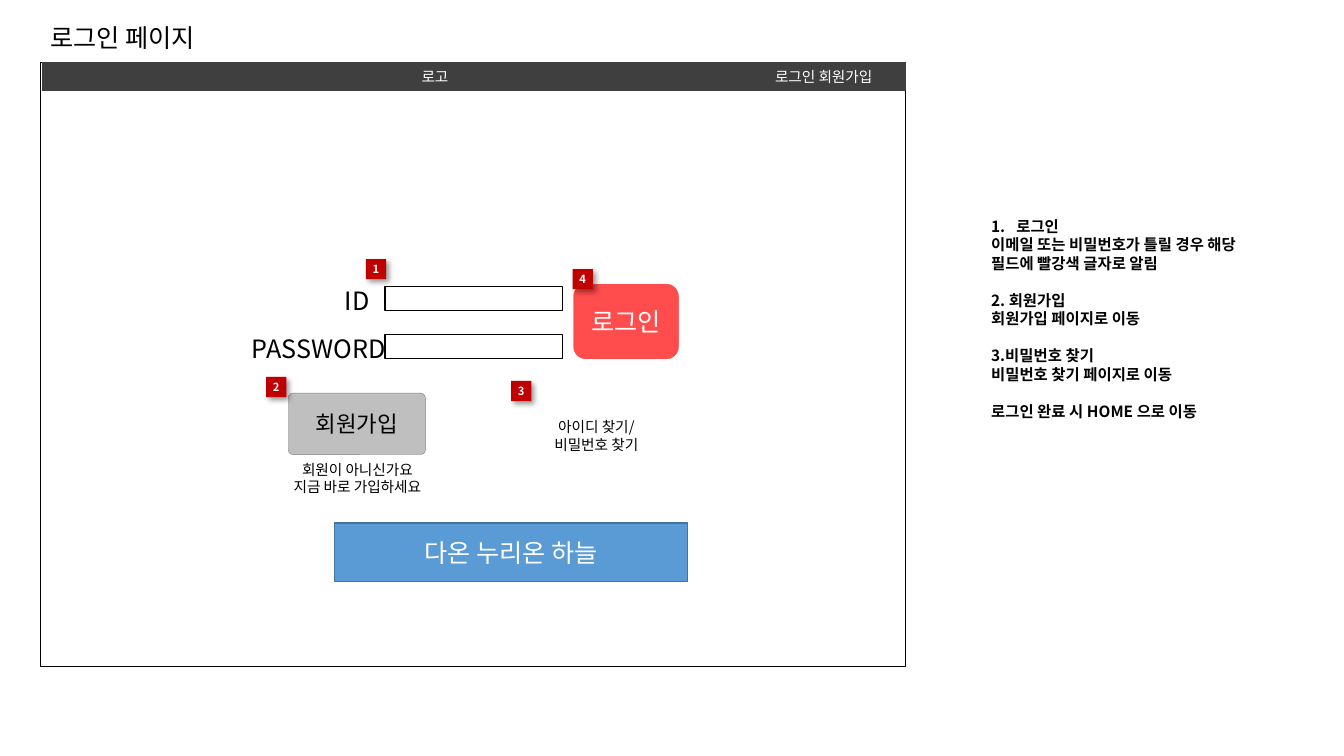
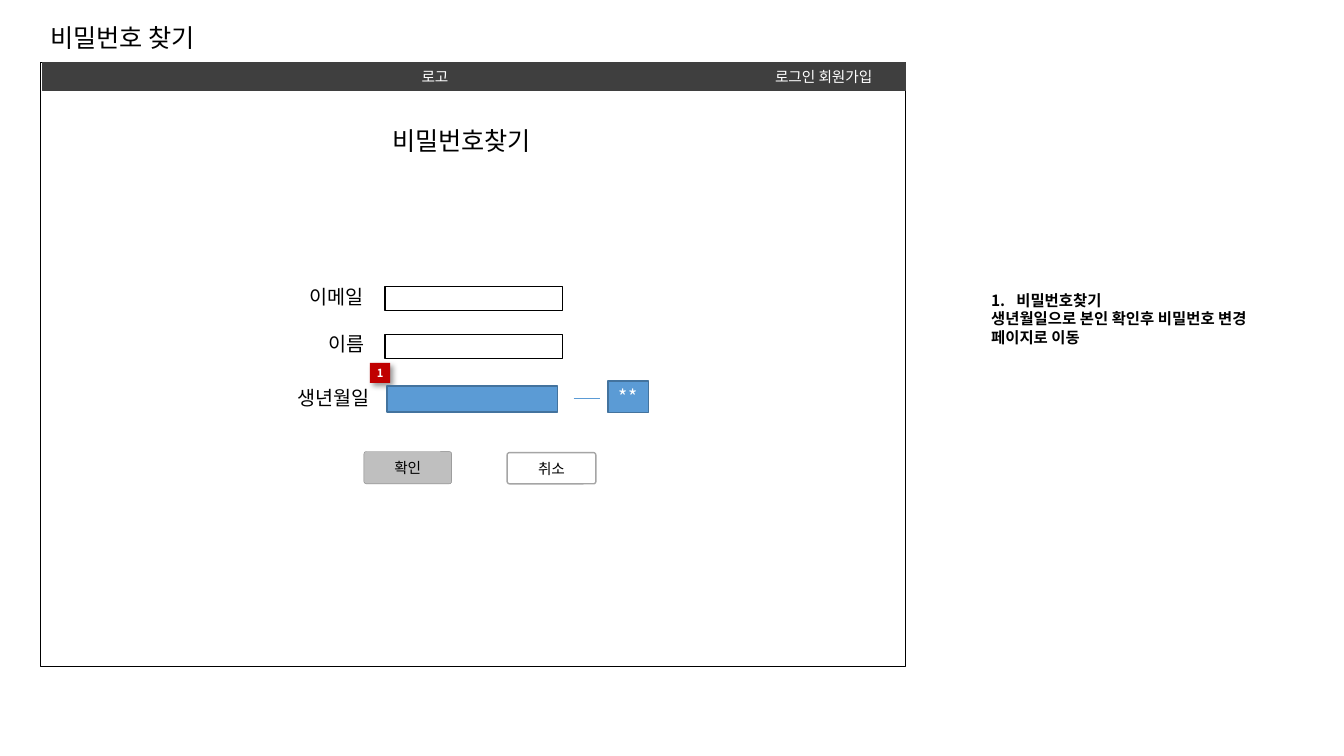
import pptx
import pptx.util
import pptx.dml.color
import pptx.enum.shapes
import pptx.enum.text
import pptx.oxml.ns
from lxml import etree

Inches = pptx.util.Inches
Pt = pptx.util.Pt
RGBColor = pptx.dml.color.RGBColor
SHAPE = pptx.enum.shapes.MSO_SHAPE
ALIGN = pptx.enum.text.PP_ALIGN
ANCHOR = pptx.enum.text.MSO_ANCHOR
qn = pptx.oxml.ns.qn

FONT = "Noto Sans CJK KR"
BLACK = RGBColor(0x00, 0x00, 0x00)
WHITE = RGBColor(0xFF, 0xFF, 0xFF)
BAR_GRAY = RGBColor(0x3F, 0x3F, 0x3F)
BUTTON_GRAY = RGBColor(0xBF, 0xBF, 0xBF)
EDGE_GRAY = RGBColor(0x80, 0x80, 0x80)
CANCEL_EDGE = RGBColor(0xA5, 0xA5, 0xA5)
BADGE_RED = RGBColor(0xC0, 0x00, 0x00)
LOGIN_RED = RGBColor(0xFF, 0x00, 0x00)
BLUE = RGBColor(0x5B, 0x9B, 0xD5)
BLUE_EDGE = RGBColor(0x43, 0x73, 0x9E)

TITLE_BOX = (0.4, 0.17, 2.46, 0.4)
PAGE_BOX = (0.4, 0.62, 8.58, 5.99)
NOTES_BOX = (9.83, 2.09, 2.71, 2.14)
FIELD_LEFT, FIELD_TOPS = 3.42, (2.22, 2.70)
NO_INSETS = (0, 0, 0, 0)
BUTTON_INSETS = (0, 0.05, 0, 0.05)
DEFAULT_INSETS = (0.1, 0.05, 0.1, 0.05)


def within(box, left, top, width, height):
    """Return a box given by its offset inside another box."""
    return box[0] + left, box[1] + top, width, height


def apply_format(target, values):
    """Set each attribute named in a dict of format values."""
    for name, value in values.items():
        setattr(target, name, value)


def write(shape, lines, size, color=BLACK, bold=False, align=ALIGN.CENTER,
          anchor=ANCHOR.MIDDLE, insets=DEFAULT_INSETS, wrap=True):
    """Fill a shape with one paragraph per line and return the paragraphs."""
    frame = shape.text_frame
    sides = ("margin_left", "margin_top", "margin_right", "margin_bottom")
    apply_format(frame, {side: Inches(inset) for side, inset in zip(sides, insets)})
    apply_format(frame, {"word_wrap": wrap, "vertical_anchor": anchor})
    paragraphs = []
    for index, line in enumerate(lines):
        paragraph = frame.add_paragraph() if index else frame.paragraphs[0]
        paragraph.alignment = align
        run = paragraph.add_run()
        run.text = line
        apply_format(run.font, {"name": FONT, "size": Pt(size), "bold": bold})
        run.font.color.rgb = color
        etree.SubElement(run.font._element, qn("a:ea"), typeface=FONT)
        paragraphs.append(paragraph)
    return paragraphs


def add_text(slide, box, *lines, size=18, grow=True, **style):
    """Add a wrapping text box."""
    text = slide.shapes.add_textbox(*map(Inches, box))
    paragraphs = write(text, lines, size, **style)
    if grow:
        text.text_frame.auto_size = pptx.enum.text.MSO_AUTO_SIZE.SHAPE_TO_FIT_TEXT
    return paragraphs


def add_label(slide, box, text, size=18):
    """Add a left-aligned label that starts at the top of its box."""
    add_text(slide, box, text, size=size, align=ALIGN.LEFT, anchor=ANCHOR.TOP)


def add_block(slide, box, fill, edge=None, edge_width=1, kind=SHAPE.RECTANGLE):
    """Add a flat filled shape, outlined when an edge colour is given."""
    block = slide.shapes.add_shape(kind, *map(Inches, box))
    block.shadow.inherit = False
    block.fill.solid()
    block.fill.fore_color.rgb = fill
    if edge is None:
        block.line.fill.background()
    else:
        block.line.color.rgb = edge
        block.line.width = Pt(edge_width)
    return block


def add_button(slide, box, text, size, fill=BUTTON_GRAY, edge=EDGE_GRAY, edge_width=0.25):
    """Add a button with slightly rounded corners."""
    button = add_block(slide, box, fill, edge, edge_width, SHAPE.ROUNDED_RECTANGLE)
    button.adjustments[0] = 0.075
    write(button, [text], size, insets=BUTTON_INSETS)


def add_badge(slide, box, number):
    """Add a red numbered marker with a soft shadow."""
    badge = add_block(slide, box, BADGE_RED)
    write(badge, [str(number)], 8, WHITE, bold=True, insets=NO_INSETS, wrap=False)
    effects = badge._element.spPr.find(qn("a:effectLst"))
    shadow = etree.SubElement(effects, qn("a:outerShdw"), blurRad=str(Pt(4)),
                              dist=str(Pt(3)), dir="2700000", algn="tl", rotWithShape="0")
    tone = etree.SubElement(shadow, qn("a:srgbClr"), val=str(BLACK))
    etree.SubElement(tone, qn("a:alpha"), val="40000")


def add_fields(slide, box):
    """Add the two empty input fields that both forms share."""
    for top in FIELD_TOPS:
        add_block(slide, within(box, FIELD_LEFT, top, 1.76, 0.24), WHITE, BLACK)


def page_frame(slide, box):
    """Draw the page outline with its dark navigation bar."""
    add_block(slide, box, WHITE, BLACK)
    add_block(slide, within(box, 0.02, 0, box[2] - 0.02, 0.28), BAR_GRAY, BAR_GRAY)
    for left, width, text in ((3.56, 0.71, "로고"), (7.15, 1.24, "로그인 회원가입")):
        add_text(slide, within(box, left, 0, width, 0.28), text, size=10.5,
                 color=WHITE, insets=NO_INSETS, grow=False)


def notes_panel(slide, box, lines, headings=()):
    """Write the side notes, numbering the first and spacing out later headings."""
    paragraphs = add_text(slide, box, *lines, size=11, bold=True, align=ALIGN.LEFT,
                          insets=NO_INSETS, grow=False)
    for index in headings:
        paragraphs[index].space_before = Pt(13.2)
    numbered = paragraphs[0]._p.get_or_add_pPr()
    numbered.set("marL", str(Inches(0.25)))
    numbered.set("indent", str(Inches(-0.25)))
    etree.SubElement(numbered, qn("a:buFont"), typeface="+mj-lt")
    etree.SubElement(numbered, qn("a:buAutoNum"), type="arabicPeriod")


def login_form(slide, box):
    """Draw the login fields, buttons and markers."""
    add_fields(slide, box)
    login = add_block(slide, within(box, 5.28, 2.19, 1.06, 0.76), LOGIN_RED, WHITE,
                      kind=SHAPE.ROUNDED_RECTANGLE)
    write(login, ["로그인"], 18, WHITE)
    tint = login._element.spPr.find(qn("a:solidFill")).find(qn("a:srgbClr"))
    etree.SubElement(tint, qn("a:alpha"), val="70000")
    add_label(slide, within(box, 2.92, 2.16, 0.55, 0.4), "ID")
    add_label(slide, within(box, 2, 2.64, 1.68, 0.4), "PASSWORD")
    for left, top, lines in ((2.24, 3.9, ("회원이 아니신가요", "지금 바로 가입하세요")),
                             (4.61, 3.48, ("아이디 찾기/", "비밀번호 찾기"))):
        add_text(slide, within(box, left, top, 1.81, 0.45), *lines, size=10.5,
                 anchor=ANCHOR.TOP)
    add_button(slide, within(box, 2.46, 3.28, 1.36, 0.61), "회원가입", 16)
    badge_spots = ((3.23, 1.95), (2.24, 3.12), (4.67, 3.16), (5.28, 2.05))
    for number, (left, top) in enumerate(badge_spots, 1):
        add_badge(slide, within(box, left, top, 0.2, 0.2), number)
    social = add_block(slide, within(box, 2.92, 4.57, 3.5, 0.58), BLUE, BLUE_EDGE)
    write(social, ["다온 누리온 하늘"], 18, WHITE)


def password_form(slide, box):
    """Draw the password recovery fields, buttons and marker."""
    add_fields(slide, box)
    for left, top, width, text in ((2.57, 2.16, 1.04, "이메일"),
                                   (2.76, 2.62, 1.68, "이름"),
                                   (2.45, 3.16, 1.21, "생년월일")):
        add_label(slide, within(box, left, top, width, 0.34), text, 14)
    add_label(slide, within(box, 3.39, 0.57, 3.04, 0.4), "비밀번호찾기")
    add_button(slide, within(box, 3.21, 3.86, 0.87, 0.32), "확인", 10.5)
    add_button(slide, within(box, 4.63, 3.87, 0.88, 0.31), "취소", 10.5,
               WHITE, CANCEL_EDGE, 1)
    add_badge(slide, within(box, 3.27, 2.98, 0.2, 0.2), 1)
    add_block(slide, within(box, 3.44, 3.21, 1.69, 0.26), BLUE, BLUE_EDGE)
    left, top, width, _ = within(box, 5.29, 3.33, 0.26, 0)
    dash = slide.shapes.add_connector(pptx.enum.shapes.MSO_CONNECTOR.STRAIGHT,
                                      *map(Inches, (left, top, left + width, top)))
    dash.line.color.rgb = BLUE
    dash.line.width = Pt(0.5)
    etree.SubElement(dash._element.spPr, qn("a:effectLst"))
    mask = add_block(slide, within(box, 5.63, 3.16, 0.4, 0.31), BLUE, BLUE_EDGE)
    write(mask, ["**"], 14, WHITE)


def wireframe_slide(deck, title, form, notes, headings=()):
    """Add one slide with a title, a page wireframe and side notes."""
    slide = deck.slides.add_slide(deck.slide_layouts[6])
    add_label(slide, TITLE_BOX, title)
    page_frame(slide, PAGE_BOX)
    form(slide, PAGE_BOX)
    notes_panel(slide, NOTES_BOX, notes, headings)


def main():
    """Build and save the presentation."""
    deck = pptx.Presentation()
    apply_format(deck, {"slide_width": Inches(13.33), "slide_height": Inches(7.5)})
    wireframe_slide(deck, "로그인 페이지", login_form, (
        "로그인",
        "이메일 또는 비밀번호가 틀릴 경우 해당 필드에 빨강색 글자로 알림",
        "2. 회원가입",
        "회원가입 페이지로 이동",
        "3.비밀번호 찾기",
        "비밀번호 찾기 페이지로 이동",
        "로그인 완료 시 HOME 으로 이동",
    ), headings=(2, 4, 6))
    wireframe_slide(deck, "비밀번호 찾기", password_form, (
        "비밀번호찾기",
        "생년월일으로 본인 확인후 비밀번호 변경 페이지로 이동",
    ))
    deck.save("out.pptx")


if __name__ == "__main__":
    main()
